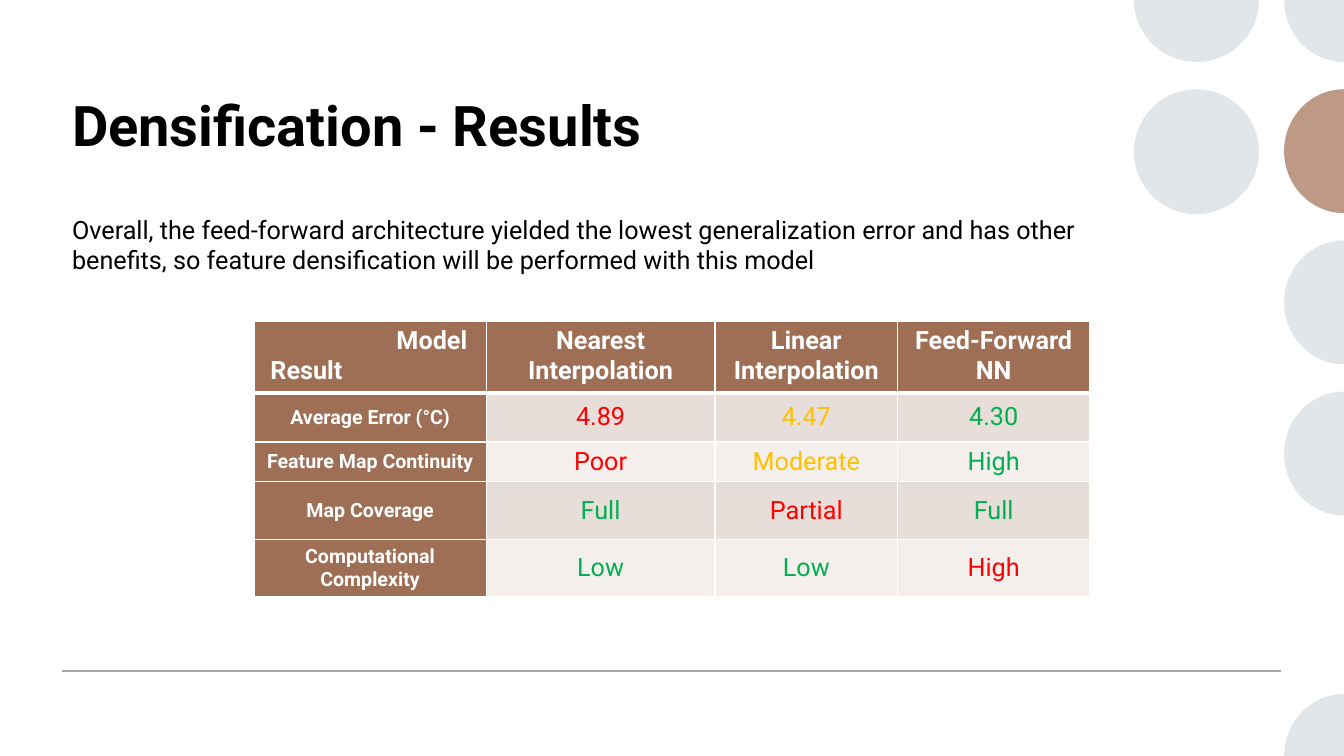
from dataclasses import dataclass

import lxml.etree
import pptx
import pptx.dml.color
import pptx.enum.shapes
import pptx.enum.text
import pptx.oxml.ns
import pptx.util

PX = 9525
SLIDE_WIDTH, SLIDE_HEIGHT = 1280, 720
FONT = "Roboto"
COLORS = {
    "black": "000000", "white": "FFFFFF", "gray": "E2E6E8", "tan": "BE9A86",
    "rule": "A6A6A6", "brown": "9E6F55", "band_dark": "E8DED9",
    "band_light": "F4EFED", "bad": "FF0000", "fair": "FFC000", "good": "00B050",
}
CENTER = pptx.enum.text.PP_ALIGN.CENTER
LEFT = pptx.enum.text.PP_ALIGN.LEFT
TOP = pptx.enum.text.MSO_ANCHOR.TOP
MIDDLE = pptx.enum.text.MSO_ANCHOR.MIDDLE

DIAMETER, RADIUS, ROW_PITCH = 119, 59, 144
INNER_LEFT, EDGE_LEFT = 1080, 1223
ARC_RATIO = 0.5523


@dataclass(frozen=True)
class CutCircle:
    points: tuple[tuple[int, int], ...]
    arcs: int
    starts_level: bool
    color: str = "gray"


@dataclass(frozen=True)
class TextBlock:
    box: tuple[int, int, int, int]
    text: str
    size: int
    bold: bool


@dataclass(frozen=True)
class ResultRow:
    label: str
    height: int
    values: tuple[tuple[str, str], ...]


def edge_circle(row: int, color: str = "gray") -> CutCircle:
    middle = row * ROW_PITCH
    top, bottom = (SLIDE_WIDTH, middle - RADIUS), (SLIDE_WIDTH, middle + RADIUS)
    return CutCircle((top, bottom, (EDGE_LEFT, middle), top), 2, True, color)


INNER_RIGHT = INNER_LEFT + DIAMETER
CUT_CIRCLES = [
    CutCircle(
        ((INNER_LEFT, 0), (INNER_RIGHT, 0), (INNER_LEFT + 60, RADIUS), (INNER_LEFT, 0)), 2, False
    ),
    CutCircle(
        ((SLIDE_WIDTH, SLIDE_HEIGHT - RADIUS), (SLIDE_WIDTH, SLIDE_HEIGHT),
         (EDGE_LEFT, SLIDE_HEIGHT), (SLIDE_WIDTH, SLIDE_HEIGHT - RADIUS)), 1, False
    ),
    edge_circle(3),
    edge_circle(2),
    edge_circle(1, "tan"),
    CutCircle(
        ((EDGE_LEFT, 0), (SLIDE_WIDTH, 0), (SLIDE_WIDTH, RADIUS), (EDGE_LEFT, 0)), 1, True
    ),
]
TITLE = TextBlock((59, 81, 793, 133), "Densification - Results", 40, True)
SUMMARY = TextBlock(
    (59, 199, 992, 122),
    "Overall, the feed-forward architecture yielded the lowest generalization error "
    "and has other benefits, so feature densification will be performed with this model",
    18, False,
)
TABLE_LEFT, TABLE_TOP = 242, 306
COLUMN_WIDTHS = (221, 218, 174, 183)
HEADER_HEIGHT = 68
CORNER = (("Model", 126), ("Result", 6))
MODELS = ("Nearest Interpolation", "Linear Interpolation", "Feed-Forward NN")
RESULTS = [
    ResultRow("Average Error (°C)", 47, (("4.89", "bad"), ("4.47", "fair"), ("4.30", "good"))),
    ResultRow("Feature Map Continuity", 38, (("Poor", "bad"), ("Moderate", "fair"), ("High", "good"))),
    ResultRow("Map Coverage", 55, (("Full", "good"), ("Partial", "bad"), ("Full", "good"))),
    ResultRow("Computational Complexity", 53, (("Low", "good"), ("Low", "good"), ("High", "bad"))),
]


def rgb(color: str) -> pptx.dml.color.RGBColor:
    return pptx.dml.color.RGBColor.from_string(COLORS[color])


def apply(target, values: dict) -> None:
    for name, value in values.items():
        setattr(target, name, value)


def write(paragraph, text: str, size: int, color: str, bold: bool) -> None:
    paragraph.text = text
    font = paragraph.runs[0].font
    apply(font, {"name": FONT, "size": pptx.util.Pt(size), "bold": bold})
    font.color.rgb = rgb(color)


def paint(shape, color: str) -> None:
    shape.shadow.inherit = False
    shape.fill.solid()
    shape.fill.fore_color.rgb = rgb(color)
    shape.line.fill.background()


def bend(line, start: tuple[int, int], end: tuple[int, int], level: bool) -> None:
    corner = (end[0], start[1]) if level else (start[0], end[1])
    controls = [
        tuple(round(a + ARC_RATIO * (b - a)) for a, b in zip(point, corner))
        for point in (start, end)
    ]
    curve = lxml.etree.Element(pptx.oxml.ns.qn("a:cubicBezTo"))
    for x, y in (*controls, end):
        lxml.etree.SubElement(curve, pptx.oxml.ns.qn("a:pt"), x=str(x), y=str(y))
    line.getparent().replace(line, curve)


def draw_cut_circle(slide, circle: CutCircle) -> None:
    builder = slide.shapes.build_freeform(*circle.points[0], scale=PX)
    builder.add_line_segments(circle.points[1:], close=True)
    shape = builder.convert_to_shape()
    outline = shape._element.find(".//" + pptx.oxml.ns.qn("a:path"))
    left, top = (min(values) for values in zip(*circle.points))
    for name, length in (("w", shape.width), ("h", shape.height)):
        outline.set(name, str(length))
    for point, (x, y) in zip(outline.iter(pptx.oxml.ns.qn("a:pt")), circle.points):
        point.set("x", str((x - left) * PX))
        point.set("y", str((y - top) * PX))
    local = [((x - left) * PX, (y - top) * PX) for x, y in circle.points]
    lines = outline.findall(pptx.oxml.ns.qn("a:lnTo"))[-circle.arcs:]
    starts, ends = local[-circle.arcs - 1:-1], local[-circle.arcs:]
    for index, (line, start, end) in enumerate(zip(lines, starts, ends)):
        bend(line, start, end, circle.starts_level == (index % 2 == 0))
    paint(shape, circle.color)


def draw_rule(slide) -> None:
    connector = slide.shapes.add_connector(
        pptx.enum.shapes.MSO_CONNECTOR.STRAIGHT, 59 * PX, 639 * PX, 1220 * PX, 639 * PX
    )
    connector.line.color.rgb = rgb("rule")
    connector.line.width = pptx.util.Pt(1)
    lxml.etree.SubElement(connector._element.spPr, pptx.oxml.ns.qn("a:effectLst"))


def fill_placeholder(placeholder, block: TextBlock) -> None:
    apply(placeholder, dict(zip(("left", "top", "width", "height"), (v * PX for v in block.box))))
    apply(placeholder.text_frame, {
        "auto_size": pptx.enum.text.MSO_AUTO_SIZE.NONE, "word_wrap": True,
        "vertical_anchor": TOP, "margin_top": 5 * PX,
    })
    paragraph = placeholder.text_frame.paragraphs[0]
    properties = paragraph._p.get_or_add_pPr()
    properties.set("marL", "0")
    properties.set("indent", "0")
    lxml.etree.SubElement(properties, pptx.oxml.ns.qn("a:buNone"))
    apply(paragraph, {"alignment": LEFT, "space_before": pptx.util.Pt(0), "line_spacing": 1.0})
    write(paragraph, block.text, block.size, "black", block.bold)


def style_cell(cell, row: int, fill: str) -> None:
    properties = cell._tc.get_or_add_tcPr()
    widths = {"L": 1, "R": 1, "T": 3 if row == 1 else 1, "B": 3 if row == 0 else 1}
    for side, width in widths.items():
        border = lxml.etree.SubElement(
            properties, pptx.oxml.ns.qn(f"a:ln{side}"), w=str(pptx.util.Pt(width))
        )
        solid = lxml.etree.SubElement(border, pptx.oxml.ns.qn("a:solidFill"))
        lxml.etree.SubElement(solid, pptx.oxml.ns.qn("a:srgbClr"), val=COLORS["white"])
    cell.fill.solid()
    cell.fill.fore_color.rgb = rgb(fill)
    cell.vertical_anchor = TOP if row == 0 else MIDDLE


def write_cell(cell, text: str, size: int, color: str, bold: bool) -> None:
    paragraph = cell.text_frame.paragraphs[0]
    paragraph.alignment = CENTER
    write(paragraph, text, size, color, bold)


def draw_table(slide) -> None:
    heights = [HEADER_HEIGHT] + [result.height for result in RESULTS]
    table = slide.shapes.add_table(
        len(heights), len(COLUMN_WIDTHS), TABLE_LEFT * PX, TABLE_TOP * PX,
        sum(COLUMN_WIDTHS) * PX, sum(heights) * PX,
    ).table
    for column, width in zip(table.columns, COLUMN_WIDTHS):
        column.width = width * PX
    for index, (row, height) in enumerate(zip(table.rows, heights)):
        row.height = height * PX
        band = "band_dark" if index % 2 else "band_light"
        for column, cell in enumerate(row.cells):
            style_cell(cell, index, "brown" if index == 0 or column == 0 else band)
    corner = table.cell(0, 0).text_frame
    corner.add_paragraph()
    for paragraph, (text, indent) in zip(corner.paragraphs, CORNER):
        paragraph._p.get_or_add_pPr().set("marL", str(indent * PX))
        write(paragraph, text, 18, "white", True)
    for column, model in enumerate(MODELS, 1):
        write_cell(table.cell(0, column), model, 18, "white", True)
    for row, result in enumerate(RESULTS, 1):
        write_cell(table.cell(row, 0), result.label, 14, "white", True)
        for column, (value, rating) in enumerate(result.values, 1):
            write_cell(table.cell(row, column), value, 18, rating, False)


def main() -> None:
    presentation = pptx.Presentation()
    apply(presentation, {"slide_width": SLIDE_WIDTH * PX, "slide_height": SLIDE_HEIGHT * PX})
    slide = presentation.slides.add_slide(presentation.slide_layouts[1])
    oval = pptx.enum.shapes.MSO_SHAPE.OVAL
    box = (INNER_LEFT, ROW_PITCH - RADIUS, DIAMETER, DIAMETER)
    paint(slide.shapes.add_shape(oval, *(value * PX for value in box)), "gray")
    for circle in CUT_CIRCLES:
        draw_cut_circle(slide, circle)
    draw_rule(slide)
    fill_placeholder(slide.shapes.title, TITLE)
    fill_placeholder(slide.placeholders[1], SUMMARY)
    draw_table(slide)
    presentation.save("out.pptx")


if __name__ == "__main__":
    main()
